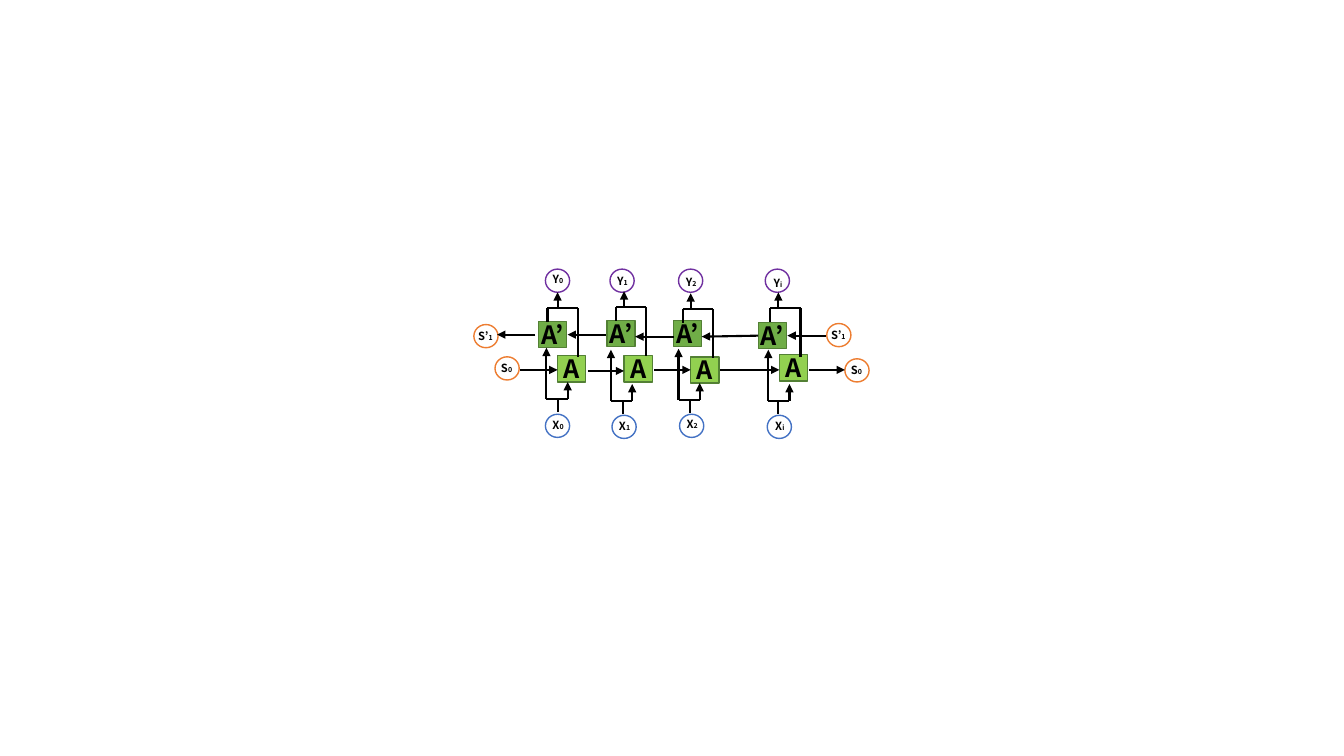
from dataclasses import dataclass

from lxml.etree import SubElement
from pptx import Presentation
from pptx.dml.color import RGBColor
from pptx.enum.shapes import MSO_CONNECTOR, MSO_SHAPE
from pptx.enum.text import MSO_AUTO_SIZE, PP_ALIGN
from pptx.oxml.ns import qn
from pptx.util import Inches, Pt


@dataclass(frozen=True)
class Theme:
    font: str = "Noto Sans CJK KR"
    ink: str = "000000"
    paper: str = "FFFFFF"
    state: str = "ED7D31"
    input: str = "4472C4"
    output: str = "7030A0"
    backward: str = "70AD47"
    forward: str = "92D050"
    cell_edge: str = "538035"
    cell_size: float = 18
    node_size: float = 8
    index_size: float = 5
    outline: float = 1
    wire: float = 1.5


@dataclass(frozen=True)
class TimeStep:
    """Positions of one column; pairs are left and top."""
    index: str
    input_node: tuple
    input_label_top: float
    input_stem: float
    fork: tuple
    backward_cell: tuple
    forward_cell: tuple
    bracket: tuple
    output_stem: float
    output_left: float
    output_label_top: float


STEPS = [
    TimeStep("0", (5.41, 4.11), 4.10, 5.53, (5.42, 3.96), (5.34, 3.19),
             (5.53, 3.53), (5.43, 3.06), 5.53, 5.41, 2.65),
    TimeStep("1", (6.07, 4.12), 4.11, 6.18, (6.06, 3.98), (6.02, 3.18),
             (6.19, 3.53), (6.11, 3.05), 6.19, 6.05, 2.67),
    TimeStep("2", (6.74, 4.11), 4.09, 6.84, (6.73, 3.97), (6.68, 3.18),
             (6.85, 3.54), (6.77, 3.07), 6.85, 6.73, 2.68),
    TimeStep("i", (7.61, 4.12), 4.11, 7.72, (7.62, 3.98), (7.52, 3.20),
             (7.73, 3.52), (7.64, 3.06), 7.72, 7.59, 2.69),
]
STATES = [("S’", "1", 4.70, 3.22), ("S", "0", 4.91, 3.54),
          ("S’", "1", 8.20, 3.21), ("S", "0", 8.38, 3.56)]
BACKWARD_FLOW = [(5.31, 3.32, 4.93, 3.32), (6.01, 3.32, 5.63, 3.32),
                 (6.68, 3.34, 6.30, 3.34), (7.52, 3.33, 6.96, 3.34),
                 (8.19, 3.33, 7.81, 3.33)]
FORWARD_FLOW = [(5.16, 3.67, 5.53, 3.67), (5.83, 3.68, 6.19, 3.68),
                (6.49, 3.67, 6.85, 3.67), (7.14, 3.67, 7.73, 3.67),
                (8.02, 3.67, 8.38, 3.67)]
OUTPUT_TOP = 2.67
LABEL_SHIFT = 0.09
CELL_WIDTH = 0.28


class Diagram:
    def __init__(self, slide, theme):
        self.slide = slide
        self.theme = theme

    def box(self, preset, left, top, width, height, fill, edge):
        shape = self.slide.shapes.add_shape(
            preset, Inches(left), Inches(top), Inches(width), Inches(height))
        shape.shadow.inherit = False
        shape.fill.solid()
        shape.fill.fore_color.rgb = RGBColor.from_string(fill)
        shape.line.color.rgb = RGBColor.from_string(edge)
        shape.line.width = Pt(self.theme.outline)

    def text(self, base, left, top, *, width, height, size, index=""):
        """Centred bold label, followed by a smaller index if one is given."""
        label = self.slide.shapes.add_textbox(
            Inches(left), Inches(top), Inches(width), Inches(height))
        frame = label.text_frame
        frame.word_wrap = True
        frame.margin_left = frame.margin_right = 0
        frame.auto_size = MSO_AUTO_SIZE.SHAPE_TO_FIT_TEXT
        paragraph = frame.paragraphs[0]
        paragraph.alignment = PP_ALIGN.CENTER
        for part, points in ((base, size), (index, self.theme.index_size)):
            if part:
                run = paragraph.add_run()
                run.text = part
                run.font.name = self.theme.font
                run.font.size = Pt(points)
                run.font.bold = True
                run.font.color.rgb = RGBColor.from_string(self.theme.ink)

    def wire(self, x1, y1, x2, y2, arrow=False):
        wire = self.slide.shapes.add_connector(
            MSO_CONNECTOR.STRAIGHT, Inches(x1), Inches(y1), Inches(x2), Inches(y2))
        wire.line.color.rgb = RGBColor.from_string(self.theme.ink)
        wire.line.width = Pt(self.theme.wire)
        if arrow:
            SubElement(wire.line._get_or_add_ln(), qn("a:tailEnd"), type="triangle")
        SubElement(wire._element.spPr, qn("a:effectLst"))

    def node(self, base, index, left, top, edge, label_left, label_top):
        self.box(MSO_SHAPE.OVAL, left, top, 0.24, 0.23, self.theme.paper, edge)
        self.text(base, label_left, label_top, width=0.43, height=0.24,
                  size=self.theme.node_size, index=index)

    def cell(self, left, top, fill):
        self.box(MSO_SHAPE.RECTANGLE, left, top, CELL_WIDTH, 0.26, fill,
                 self.theme.cell_edge)

    def cell_label(self, base, left, top, width):
        """Centre a label of the given width on the cell at left and top."""
        self.text(base, left + (CELL_WIDTH - width) / 2, top - 0.07,
                  width=width, height=0.4, size=self.theme.cell_size)

    def fork(self, stem, left, top):
        """Split one input between the backward and the forward cell."""
        right = left + 0.21
        self.wire(stem, top + 0.13, stem, top)
        self.wire(left, top, right, top)
        self.wire(left, top, left, top - 0.51, arrow=True)
        self.wire(right, top, right, top - 0.17, arrow=True)

    def bracket(self, stem, left, top):
        """Join both cells into one output."""
        right = left + 0.3
        self.wire(left, top + 0.13, left, top)
        self.wire(left, top, right, top)
        self.wire(right, top + 0.48, right, top)
        self.wire(stem, top, stem, top - 0.16, arrow=True)


def main():
    presentation = Presentation()
    presentation.slide_width = Inches(13.33)
    presentation.slide_height = Inches(7.5)
    slide = presentation.slides.add_slide(presentation.slide_layouts[6])
    theme = Theme()
    network = Diagram(slide, theme)

    for base, index, left, top in STATES:
        network.node(base, index, left, top, theme.state, left - 0.1, top)
    for step in STEPS:
        network.cell(*step.backward_cell, theme.backward)
        network.cell(*step.forward_cell, theme.forward)
        network.node("X", step.index, *step.input_node, theme.input,
                     step.input_node[0] - LABEL_SHIFT, step.input_label_top)
        network.node("Y", step.index, step.output_left, OUTPUT_TOP, theme.output,
                     step.output_left - LABEL_SHIFT, step.output_label_top)
    for flow in BACKWARD_FLOW + FORWARD_FLOW:
        network.wire(*flow, arrow=True)
    for step in STEPS:
        network.fork(step.input_stem, *step.fork)
        network.bracket(step.output_stem, *step.bracket)
    for step in STEPS:
        network.cell_label("A’", *step.backward_cell, width=0.4)
        network.cell_label("A", *step.forward_cell, width=0.2)

    presentation.save("out.pptx")


if __name__ == "__main__":
    main()
